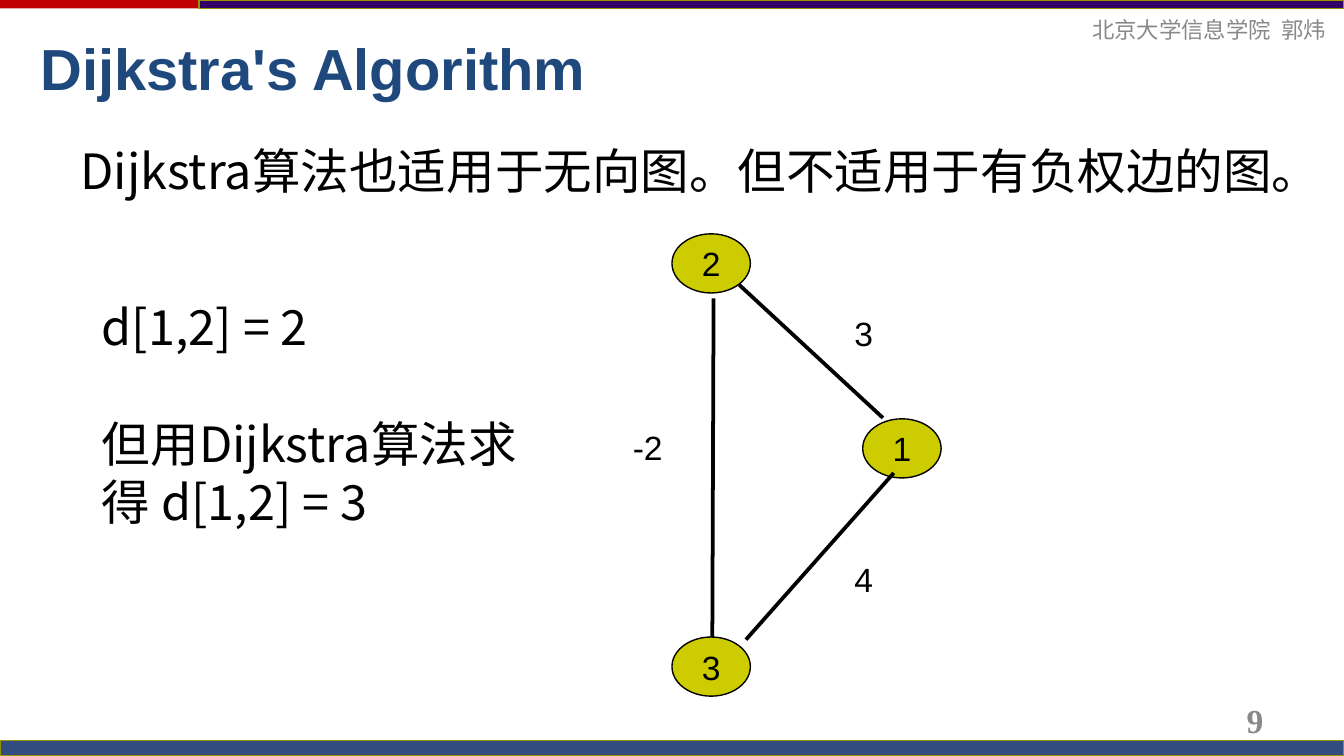
from lxml import etree
from pptx import Presentation
from pptx import util as u
from pptx.dml import color
from pptx.enum import shapes, text
from pptx.oxml import ns

Pt = u.Pt
RGB = color.RGBColor
RED = RGB(0xC0, 0x00, 0x00)
PLUM = RGB(0x33, 0x00, 0x66)
NAVY = RGB(0x00, 0x20, 0x60)
OLIVE = RGB(0x95, 0x95, 0x00)
LIME = RGB(0xCC, 0xCC, 0x00)
BLUE = RGB(0x1F, 0x49, 0x7D)
GRAY = RGB(0x89, 0x89, 0x89)
BLACK = RGB(0x00, 0x00, 0x00)

SANS, SERIF, HAN = "Arial", "Times New Roman", "Noto Sans CJK SC"
LEFT, MID, RIGHT = text.PP_ALIGN.LEFT, text.PP_ALIGN.CENTER, text.PP_ALIGN.RIGHT
TOP, CORE = text.MSO_ANCHOR.TOP, text.MSO_ANCHOR.MIDDLE
W, H = 720, 405
NODE_W, NODE_H = 42, 31.7
LEAD = 31.3


def pts(*vals):
    return [Pt(v) for v in vals]


class Deck:
    def __init__(self):
        self.prs = Presentation()
        self.prs.slide_width, self.prs.slide_height = pts(W, H)
        self.slide = self.prs.slides.add_slide(self.prs.slide_layouts[5])
        self.shapes = self.slide.shapes

    def run(self, para, words, size, font, ink, bold=False):
        run = para.add_run()
        run.text = words
        run.font.size = Pt(size)
        run.font.name = font
        run.font.bold = bold
        run.font.color.rgb = ink
        east = etree.SubElement(run.font._element, ns.qn("a:ea"))
        east.set("typeface", HAN)
        run.font._element.find(ns.qn("a:latin")).addnext(east)

    def fill(self, frame, lines, size, font, ink, bold=False,
             align=LEFT, anchor=TOP, wrap=True, lead=None, gap=0):
        frame.word_wrap = wrap
        frame.auto_size = text.MSO_AUTO_SIZE.NONE
        frame.vertical_anchor = anchor
        for i, words in enumerate(lines):
            para = frame.add_paragraph() if i else frame.paragraphs[0]
            para.alignment = align
            para.space_before = Pt(gap if i else 0)
            if lead:
                para.line_spacing = lead
            self.run(para, words, size, font, ink, bold)

    def title(self, box, words):
        name = self.shapes.title
        name.left, name.top, name.width, name.height = pts(*box)
        self.fill(name.text_frame, [words], 31, SANS, BLUE, True, lead=0.8)

    def label(self, box, lines, size, font, ink, **style):
        area = self.shapes.add_textbox(*pts(*box))
        self.fill(area.text_frame, lines, size, font, ink, **style)

    def shape(self, kind, box, paint, edge=None, width=0):
        item = self.shapes.add_shape(kind, *pts(*box))
        item.shadow.inherit = False
        item.fill.solid()
        item.fill.fore_color.rgb = paint
        if edge is None:
            item.line.fill.background()
        else:
            item.line.color.rgb = edge
            item.line.width = Pt(width)
        return item

    def bar(self, box, paint, edge=None, alpha=None):
        item = self.shape(shapes.MSO_SHAPE.RECTANGLE, box, paint, edge)
        if alpha:
            tone = item._element.spPr.find(".//" + ns.qn("a:srgbClr"))
            etree.SubElement(tone, ns.qn("a:alpha")).set("val", str(alpha * 1000))

    def node(self, x, y, words):
        item = self.shape(shapes.MSO_SHAPE.OVAL, (x, y, NODE_W, NODE_H),
                          LIME, BLACK, 0.75)
        self.fill(item.text_frame, [words], 18, SANS, BLACK,
                  align=MID, anchor=CORE, wrap=False)

    def edge(self, *ends):
        line = self.shapes.add_connector(shapes.MSO_CONNECTOR.STRAIGHT, *pts(*ends))
        line.line.color.rgb = BLACK
        line.line.width = Pt(2)
        etree.SubElement(line._element.spPr, ns.qn("a:effectLst"))


def main():
    deck = Deck()
    deck.bar((0, 0, W, 4.6), RED)
    deck.bar((106.7, 0, W - 106.7, 4.6), PLUM, OLIVE)
    deck.bar((0, 396.7, W, 8.3), NAVY, OLIVE, 80)
    deck.label((516, 375.2, 168, 21.6), ["9"], 18, SERIF, GRAY,
               bold=True, align=RIGHT, anchor=CORE)
    deck.label((549.5, 5, 168, 21.6), ["北京大学信息学院  郭炜"], 12, SERIF, GRAY,
               align=RIGHT, anchor=CORE)
    deck.title((14.4, 20.9, 648, 37.4), "Dijkstra's Algorithm")
    deck.label((36, 72, 687, 70), ["Dijkstra算法也适用于无向图。但不适用于有负权边的图。"],
               26, HAN, BLACK, wrap=False, lead=Pt(LEAD))

    for x, y, words in ((360, 125.3, "2"), (360, 341.3, "3"), (462.2, 224.4, "1")):
        deck.node(x, y, words)
    for x, y, wide, words in ((331.9, 225.4, 39.6, "-2"),
                              (450.7, 164.2, 24.5, "3"),
                              (450.7, 295.9, 24.5, "4")):
        deck.label((x, y, wide, 28.8), [words], 18, SANS, BLACK)
    for ends in ((396, 152.6, 473, 223.9), (478.8, 253.4, 399.6, 342.7),
                 (382.3, 159.8, 381.6, 341.3)):
        deck.edge(*ends)

    deck.label((47.5, 155.5, 255.6, 132.5),
               ["d[1,2] = 2", "但用Dijkstra算法求得 d[1,2] = 3"],
               26, HAN, BLACK, lead=Pt(LEAD), gap=LEAD)
    deck.prs.save("out.pptx")


if __name__ == "__main__":
    main()
